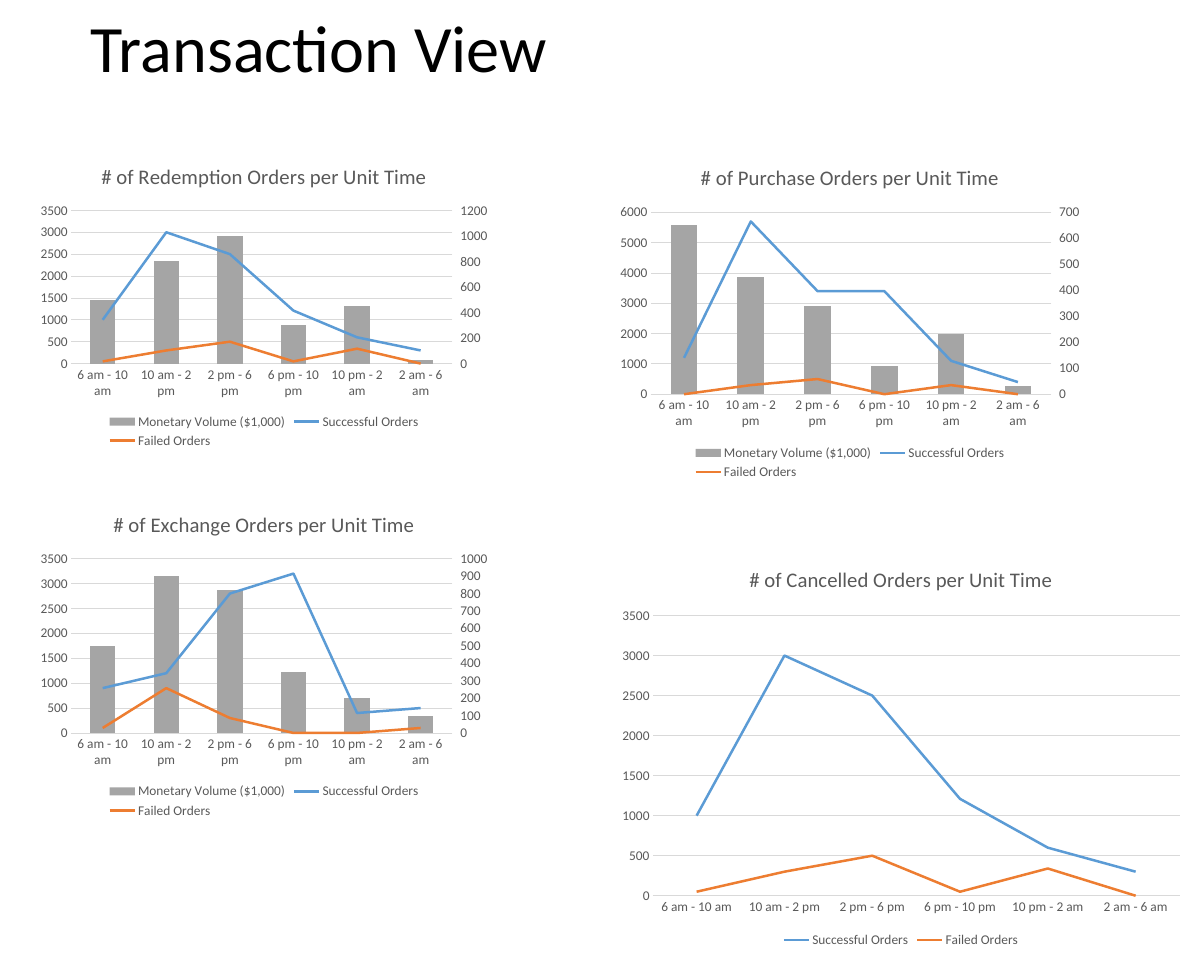
from copy import deepcopy

from pptx import Presentation
from pptx.chart.axis import CategoryAxis, ValueAxis
from pptx.chart.data import CategoryChartData
from pptx.dml.color import RGBColor
from pptx.enum.chart import XL_CHART_TYPE, XL_LEGEND_POSITION, XL_MARKER_STYLE, XL_TICK_MARK
from pptx.enum.text import MSO_ANCHOR, MSO_AUTO_SIZE, PP_ALIGN
from pptx.oxml import parse_xml
from pptx.oxml.ns import nsdecls, qn
from pptx.util import Pt

COLUMN = XL_CHART_TYPE.COLUMN_CLUSTERED
LINE = XL_CHART_TYPE.LINE
BOTTOM = XL_LEGEND_POSITION.BOTTOM
NO_MARKER = XL_MARKER_STYLE.NONE
NO_TICK = XL_TICK_MARK.NONE
TICK_OUTSIDE = XL_TICK_MARK.OUTSIDE
MIDDLE = MSO_ANCHOR.MIDDLE
NO_AUTOFIT = MSO_AUTO_SIZE.NONE
LEFT = PP_ALIGN.LEFT

FONT = "Calibri"
BLACK = "000000"
TEXT_GRAY = "595959"
GRID_GRAY = "D9D9D9"
VOLUME = "Monetary Volume ($1,000)"
SERIES_COLORS = {VOLUME: "A5A5A5", "Successful Orders": "5B9BD5", "Failed Orders": "ED7D31"}
TIMES = ["6 am - 10 am", "10 am - 2 pm", "2 pm - 6 pm",
         "6 pm - 10 pm", "10 pm - 2 am", "2 am - 6 am"]
LEFT_COLUMN, RIGHT_COLUMN = 28.1, 547.9

# Order type, (left, top, width, height), volume, successful, failed
CHARTS = [
    ("Redemption", (LEFT_COLUMN, 132.5, 417.6, 272.9),
     [500, 800, 1000, 300, 450, 30],
     [1000, 3000, 2500, 1210, 600, 300], [50, 300, 500, 50, 340, 0]),
    ("Cancelled", (RIGHT_COLUMN, 492.5, 520.6, 360.7),
     None,
     [1000, 3000, 2500, 1210, 600, 300], [50, 300, 500, 50, 340, 0]),
    ("Purchase", (RIGHT_COLUMN, 133.2, 429.1, 300.2),
     [650, 450, 340, 110, 230, 30],
     [1200, 5700, 3400, 3400, 1100, 400], [0, 300, 500, 0, 300, 0]),
    ("Exchange", (LEFT_COLUMN, 444.2, 417.6, 293),
     [500, 900, 820, 350, 200, 100],
     [900, 1200, 2800, 3200, 400, 500], [100, 900, 300, 0, 0, 100]),
]


def style_font(font, size, color):
    font.name = FONT
    font.size = Pt(size)
    font.bold = False
    font.color.rgb = RGBColor.from_string(color)


def split_lines_from_columns(chart):
    """Turn all series but the first into lines, and give the columns a right axis."""
    bar_chart = chart.plots[0]._element
    line_chart = parse_xml(
        f'<c:lineChart {nsdecls("c")}><c:grouping val="standard"/>'
        '<c:varyColors val="0"/><c:marker val="1"/></c:lineChart>')
    marker = line_chart.find(qn("c:marker"))
    for series in bar_chart.findall(qn("c:ser"))[1:]:
        for column_flag in series.findall(qn("c:invertIfNegative")):
            series.remove(column_flag)
        marker.addprevious(series)
    bar_chart.addnext(line_chart)

    category = chart.category_axis._element
    value = chart.value_axis._element
    right_value, hidden_category = deepcopy(value), deepcopy(category)
    value.addnext(right_value)
    right_value.addnext(hidden_category)
    for axis, axis_id, cross_id in ((hidden_category, "5001", "5002"),
                                    (right_value, "5002", "5001")):
        axis.find(qn("c:axId")).set("val", axis_id)
        axis.find(qn("c:crossAx")).set("val", cross_id)
    for bar_id, new_id in zip(bar_chart.findall(qn("c:axId")), ("5001", "5002")):
        line_chart.append(deepcopy(bar_id))
        bar_id.set("val", new_id)
    right_value.find(qn("c:axPos")).set("val", "r")
    right_value.find(qn("c:crosses")).set("val", "max")
    CategoryAxis(hidden_category).visible = False
    right_axis = ValueAxis(right_value)
    right_axis.has_major_gridlines = False
    right_axis.major_tick_mark = TICK_OUTSIDE


presentation = Presentation()
presentation.slide_width = Pt(1080)
presentation.slide_height = Pt(864)
slide = presentation.slides.add_slide(presentation.slide_layouts[5])

title = slide.shapes.title
title.left, title.top, title.width, title.height = Pt(74.2), Pt(20.2), Pt(931.7), Pt(51.8)
title.text_frame.text = "Transaction View"
title.text_frame.auto_size = NO_AUTOFIT
title.text_frame.vertical_anchor = MIDDLE
paragraph = title.text_frame.paragraphs[0]
paragraph.alignment = LEFT
paragraph.line_spacing = 0.9
style_font(paragraph.runs[0].font, 59.4, BLACK)

for order_type, box, volume, successful, failed in CHARTS:
    chart_data = CategoryChartData()
    chart_data.categories = TIMES
    for name, values in zip(SERIES_COLORS, (volume, successful, failed)):
        if values:
            chart_data.add_series(name, values)
    frame = slide.shapes.add_chart(COLUMN if volume else LINE, *map(Pt, box), chart_data)
    chart = frame.chart
    style_font(chart.font, 10, BLACK)

    chart.has_title = True
    chart_title = chart.chart_title.text_frame
    chart_title.text = f"# of {order_type} Orders per Unit Time"
    style_font(chart_title.paragraphs[0].runs[0].font, 18.6, TEXT_GRAY)

    chart.has_legend = True
    chart.legend.position = BOTTOM
    chart.legend.include_in_layout = False
    style_font(chart.legend.font, 12, TEXT_GRAY)

    for axis in (chart.category_axis, chart.value_axis):
        axis.major_tick_mark = axis.minor_tick_mark = NO_TICK
        style_font(axis.tick_labels.font, 12, TEXT_GRAY)
    chart.value_axis.has_major_gridlines = True
    chart.value_axis.format.line.fill.background()
    for line in (chart.category_axis.format.line, chart.value_axis.major_gridlines.format.line):
        line.color.rgb = RGBColor.from_string(GRID_GRAY)
        line.width = Pt(0.75)

    chart.plots[0].vary_by_categories = False
    if volume:
        chart.plots[0].gap_width = 150
        split_lines_from_columns(chart)

    for plot in chart.plots:
        for series in plot.series:
            color = RGBColor.from_string(SERIES_COLORS[series.name])
            if series.name == VOLUME:
                series.format.fill.solid()
                series.format.fill.fore_color.rgb = color
            else:
                series.format.line.color.rgb = color
                series.format.line.width = Pt(2.25)
                series.marker.style = NO_MARKER
                series.smooth = False

presentation.save("out.pptx")
